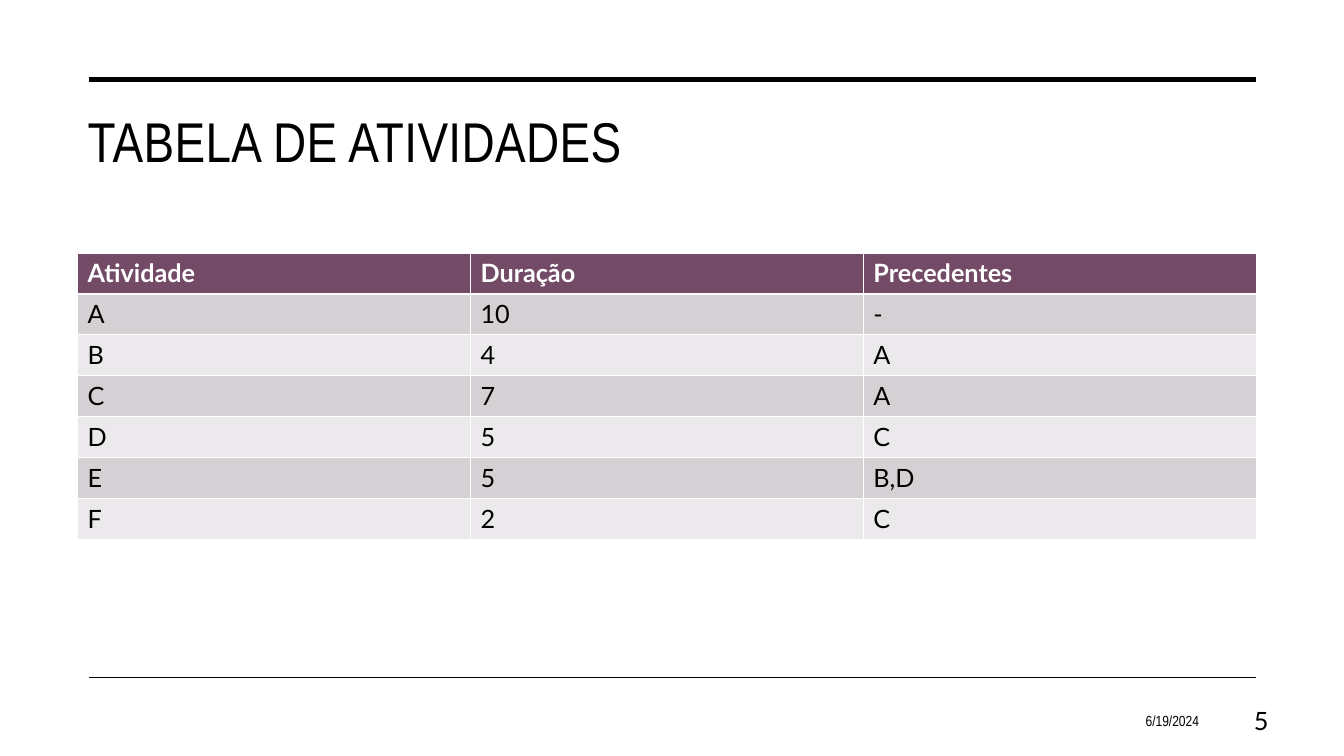
"""Build the activity table slide."""
from lxml import etree
from pptx import Presentation, util as u
from pptx.dml.color import RGBColor
from pptx.enum import shapes, text
from pptx.oxml import ns

BLACK = RGBColor(0x00, 0x00, 0x00)
WHITE = RGBColor(0xFF, 0xFF, 0xFF)
PLUM = RGBColor(0x73, 0x4B, 0x67)
BANDS = [RGBColor(0xEB, 0xE9, 0xEB), RGBColor(0xD5, 0xD0, 0xD3)]

LEFT, RIGHT = 0.77, 12.46
RULE_LEFT = 0.88
TABLE_TOP, ROW_HEIGHT = 2.51, 0.406
ROWS = [
    ("Atividade", "Duração", "Precedentes"),
    ("A", "10", "-"),
    ("B", "4", "A"),
    ("C", "7", "A"),
    ("D", "5", "C"),
    ("E", "5", "B,D"),
    ("F", "2", "C"),
]


def write(frame, words, color=BLACK, align=text.PP_ALIGN.LEFT, **font_format):
    paragraph = frame.paragraphs[0]
    paragraph.alignment = align
    run = paragraph.add_run()
    run.text = words
    run.font.color.rgb = color
    for name, value in font_format.items():
        setattr(run.font, name, value)
    return run


presentation = Presentation()
presentation.slide_width = u.Inches(13.33)
presentation.slide_height = u.Inches(7.5)
slide = presentation.slides.add_slide(presentation.slide_layouts[6])

for top, width in [(0.79, 3.5), (6.72, 1)]:
    rule = slide.shapes.add_connector(
        shapes.MSO_CONNECTOR.STRAIGHT,
        u.Inches(RULE_LEFT), u.Inches(top), u.Inches(RIGHT), u.Inches(top))
    rule.line.color.rgb = BLACK
    rule.line.width = u.Pt(width)
    etree.SubElement(rule._element.spPr, ns.qn("a:effectLst"))

TOP, MIDDLE = text.MSO_ANCHOR.TOP, text.MSO_ANCHOR.MIDDLE
NARROW, LATO = "Arial Narrow", "Lato"
text_boxes = [
    ((LEFT, 1.01, RIGHT - LEFT, 1.5), TOP, "TABELA DE ATIVIDADES",
     {"name": NARROW, "size": u.Pt(40)}, 30),
    ((9.15, 6.95, 2.84, 0.4), MIDDLE, "6/19/2024",
     {"name": NARROW, "size": u.Pt(10.5), "align": text.PP_ALIGN.RIGHT}, 0),
    ((11.94, 6.95, 0.74, 0.4), MIDDLE, "5",
     {"name": LATO, "size": u.Pt(18), "align": text.PP_ALIGN.RIGHT}, 0),
]
for place, anchor, words, font_format, spacing in text_boxes:
    frame = slide.shapes.add_textbox(*map(u.Inches, place)).text_frame
    frame.word_wrap = True
    frame.vertical_anchor = anchor
    run = write(frame, words, **font_format)
    if spacing:
        run._r.get_or_add_rPr().set("spc", str(spacing))

table = slide.shapes.add_table(
    len(ROWS), len(ROWS[0]), u.Inches(LEFT), u.Inches(TABLE_TOP),
    u.Inches(RIGHT - LEFT), u.Inches(ROW_HEIGHT * len(ROWS))).table
for row_index, row in enumerate(ROWS):
    header = row_index == 0
    for column_index, words in enumerate(row):
        cell = table.cell(row_index, column_index)
        cell.fill.solid()
        cell.fill.fore_color.rgb = PLUM if header else BANDS[row_index % 2]
        write(cell.text_frame, words, WHITE if header else BLACK,
              name=LATO, size=u.Pt(18), bold=header)

presentation.save("out.pptx")
